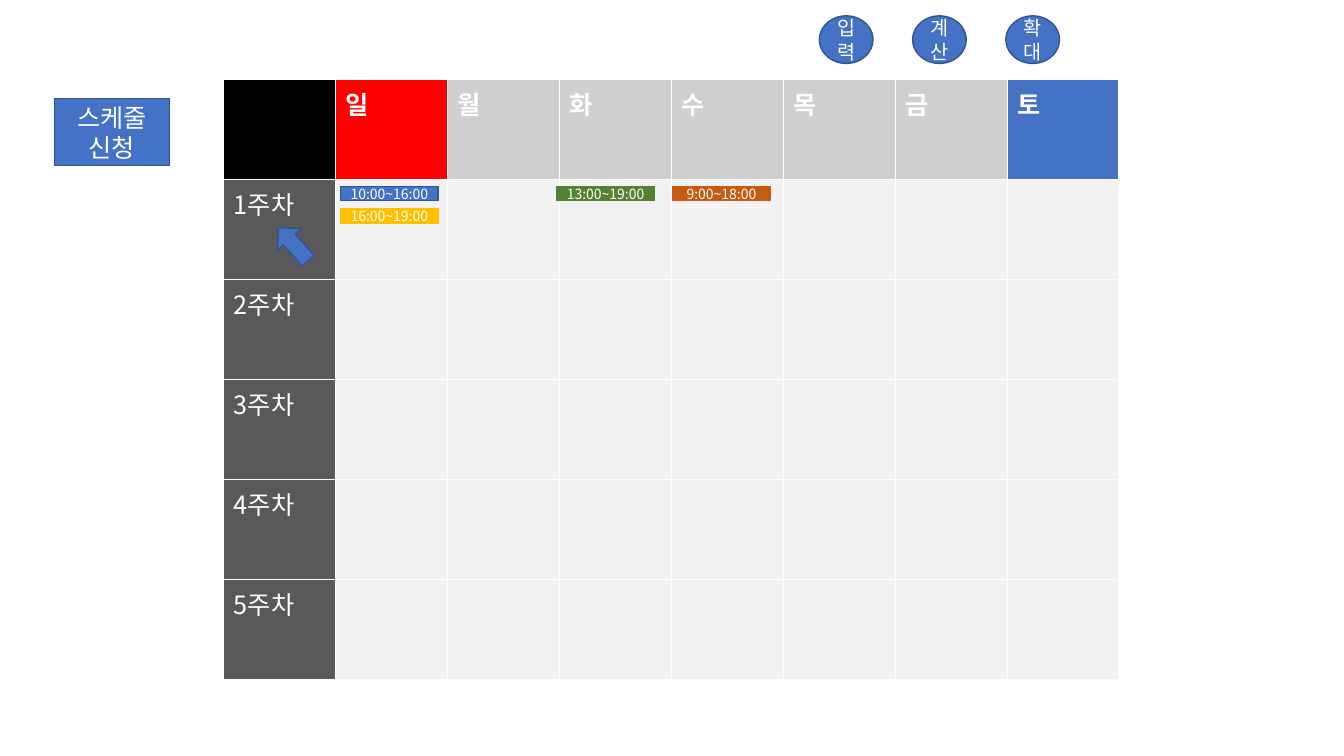
from pptx import Presentation
from pptx.dml.color import RGBColor
from pptx.enum.shapes import MSO_SHAPE
from pptx.enum.text import PP_ALIGN
from pptx.oxml.ns import qn
from pptx.util import Cm, Pt
from lxml.etree import SubElement

FONT = "Noto Sans CJK KR"
WHITE = "FFFFFF"
BLUE = "4472C4"
NAVY = "325491"
GRAY = "D0CECE"
DAYS = ["", "일", "월", "화", "수", "목", "금", "토"]
HEADS = ["000000", "FF0000"] + [GRAY] * 5 + [BLUE]
WEEKS = 5


def color(code):
    return RGBColor.from_string(code)


def paint(item, code):
    item.fill.solid()
    item.fill.fore_color.rgb = color(code)


def write(frame, text, size, bold=False):
    para = frame.paragraphs[0]
    para.text = text
    font = para.font
    font.size = Pt(size)
    font.bold = bold
    font.color.rgb = color(WHITE)
    font.name = FONT
    SubElement(font._element, qn("a:ea"), typeface=FONT)
    return para


def fill_cell(cell, text, code, bold=False):
    paint(cell, code)
    if text:
        write(cell.text_frame, text, 18, bold)


def add_grid(slide):
    wide, high = Cm(2.82), Cm(2.52)
    rows, cols = WEEKS + 1, len(DAYS)
    grid = slide.shapes.add_table(
        rows, cols, Cm(5.64), Cm(2.01), wide * cols, high * rows
    ).table
    for col in grid.columns:
        col.width = wide
    for row in grid.rows:
        row.height = high
    for col, (day, code) in enumerate(zip(DAYS, HEADS)):
        fill_cell(grid.cell(0, col), day, code, True)
    for week in range(1, rows):
        fill_cell(grid.cell(week, 0), f"{week}주차", "595959")
        for col in range(1, cols):
            fill_cell(grid.cell(week, col), "", "F2F2F2")


def add_box(slide, kind, left, top, wide, high, fill=BLUE, edge=NAVY):
    box = slide.shapes.add_shape(kind, Cm(left), Cm(top), Cm(wide), Cm(high))
    box.shadow.inherit = False
    paint(box, fill)
    box.line.color.rgb = color(edge)
    box.line.width = Pt(1)
    return box


def label(box, text, size):
    para = write(box.text_frame, text, size)
    para.alignment = PP_ALIGN.CENTER


def add_shift(slide, left, top, text, fill, edge):
    bar = add_box(slide, MSO_SHAPE.RECTANGLE, left, top, 2.46, 0.36, fill, edge)
    label(bar, text, 10)
    bar.text_frame.word_wrap = False


def main():
    deck = Presentation()
    deck.slide_width, deck.slide_height = Cm(33.87), Cm(19.05)
    slide = deck.slides.add_slide(deck.slide_layouts[6])

    add_grid(slide)

    for idx, text in enumerate(["입력", "계산", "확대"]):
        knob = add_box(slide, MSO_SHAPE.OVAL, 20.65 + 2.35 * idx, 0.4, 1.35, 1.2)
        label(knob, text, 14)

    for left, top, text, fill, edge in [
        (8.58, 4.7, "10:00~16:00", BLUE, NAVY),
        (8.58, 5.27, "16:00~19:00", "FFC000", "FFC000"),
        (14.03, 4.7, "13:00~19:00", "548235", "548235"),
        (16.95, 4.7, "9:00~18:00", "C55A11", "C55A11"),
    ]:
        add_shift(slide, left, top, text, fill, edge)

    arrow = add_box(slide, MSO_SHAPE.UP_ARROW, 6.99, 5.59, 0.81, 1.12)
    arrow.rotation = 318.4

    button = add_box(slide, MSO_SHAPE.RECTANGLE, 1.37, 2.48, 2.9, 1.7)
    label(button, "스케줄 신청", 18)

    deck.save("out.pptx")


if __name__ == "__main__":
    main()
